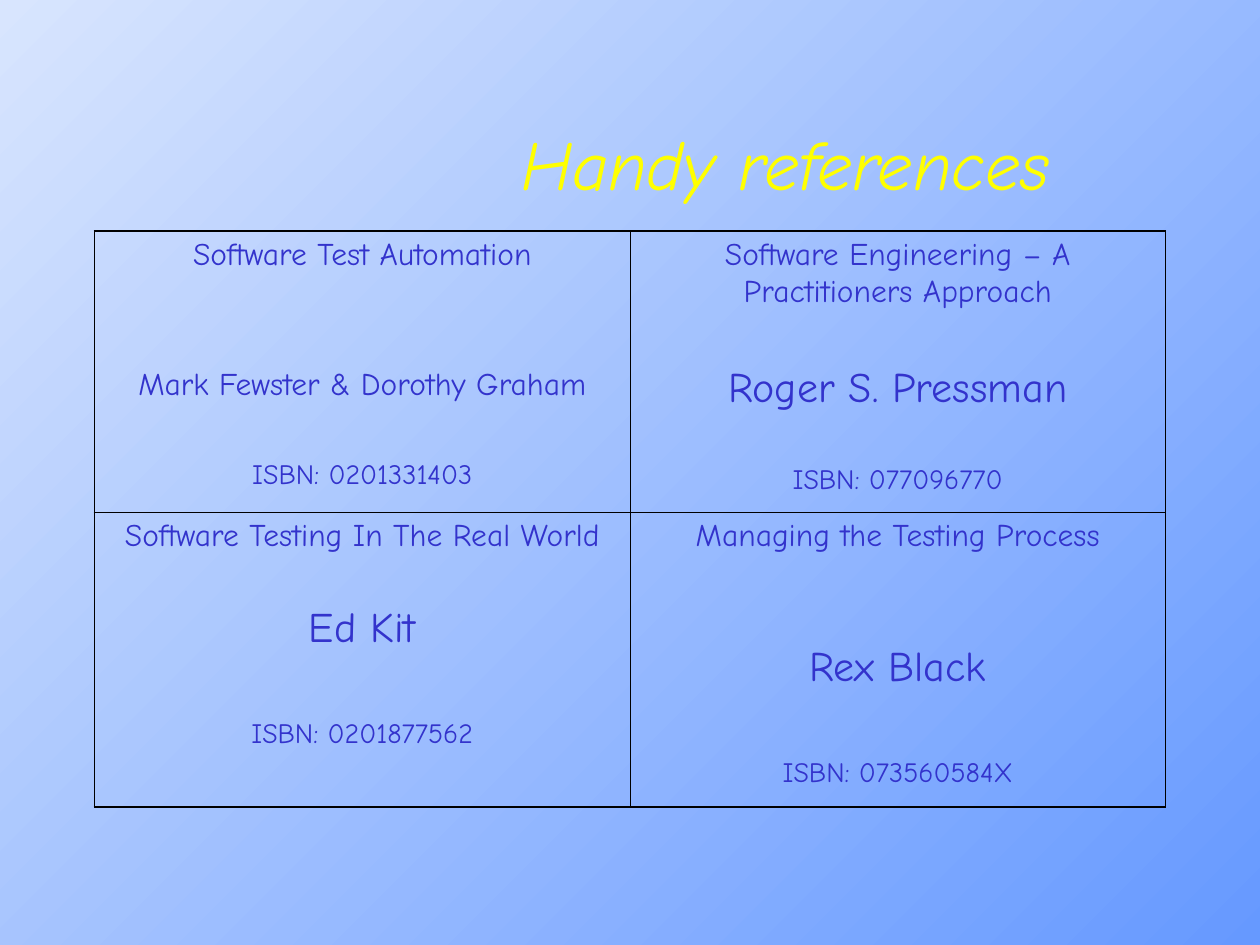
from dataclasses import dataclass

from lxml.etree import SubElement
from pptx import Presentation
from pptx.dml.color import RGBColor
from pptx.enum.text import MSO_ANCHOR, PP_ALIGN
from pptx.oxml.ns import qn
from pptx.util import Pt


@dataclass(frozen=True)
class Theme:
    font: str = "Comic Neue"
    heading: str = "FFFF00"
    body: str = "3333CC"
    border: str = "000000"
    background: tuple = ("6699FF", "D8E5FE")
    heading_size: float = 40
    book_size: float = 18
    author_size: float = 24
    isbn_size: float = 16
    outer_line: float = 1.08
    inner_line: float = 0.45


@dataclass(frozen=True)
class Book:
    title: str
    author: str
    isbn: str
    author_gap: float
    isbn_gap: float
    author_size: float = Theme.author_size


THEME = Theme()
BOOKS = [
    [
        Book("Software Test Automation", "Mark Fewster & Dorothy Graham",
             "ISBN: 0201331403", 53.5, 32, THEME.book_size),
        Book("Software Engineering – A Practitioners Approach",
             "Roger S. Pressman", "ISBN: 077096770", 31.2, 29.2),
    ],
    [
        Book("Software Testing In The Real World", "Ed Kit",
             "ISBN: 0201877562", 28.4, 37.6),
        Book("Managing the Testing Process", "Rex Black",
             "ISBN: 073560584X", 50.8, 37.6),
    ],
]
COLUMN_WIDTH = 306
ROW_HEIGHTS = [160.6, 168.5]


def paint_background(slide):
    fill = slide.background.fill
    fill.gradient()
    fill.gradient_angle = 135
    for stop, color in zip(fill.gradient_stops, THEME.background):
        stop.color.rgb = RGBColor.from_string(color)


def format_paragraph(paragraph, size, color, alignment, italic=False):
    paragraph.alignment = alignment
    for run in paragraph.runs:
        run.font.name = THEME.font
        run.font.size = Pt(size)
        run.font.italic = italic
        run.font.color.rgb = RGBColor.from_string(color)


def add_heading(slide, text):
    shape = slide.shapes.add_textbox(Pt(168), Pt(48), Pt(498), Pt(90))
    frame = shape.text_frame
    frame.word_wrap = True
    frame.vertical_anchor = MSO_ANCHOR.MIDDLE
    frame.margin_right = Pt(66)
    frame.text = text
    format_paragraph(frame.paragraphs[0], THEME.heading_size, THEME.heading,
                     PP_ALIGN.RIGHT, italic=True)


def set_borders(cell, widths):
    properties = cell._tc.get_or_add_tcPr()
    for index, (side, width) in enumerate(widths.items()):
        line = SubElement(properties, qn(f"a:ln{side}"), w=str(Pt(width)))
        fill = SubElement(line, qn("a:solidFill"))
        SubElement(fill, qn("a:srgbClr"), val=THEME.border)
        properties.insert(index, line)


def fill_cell(cell, book):
    cell.fill.background()
    frame = cell.text_frame
    frame.text = "\n".join([book.title, book.author, book.isbn])
    sizes = [THEME.book_size, book.author_size, THEME.isbn_size]
    for paragraph, size in zip(frame.paragraphs, sizes):
        format_paragraph(paragraph, size, THEME.body, PP_ALIGN.CENTER)
    for paragraph, gap in zip(frame.paragraphs[1:], [book.author_gap, book.isbn_gap]):
        paragraph.space_before = Pt(gap)


def add_book_table(slide, books):
    row_count, column_count = len(books), len(books[0])
    shape = slide.shapes.add_table(row_count, column_count, Pt(54), Pt(132),
                                   Pt(COLUMN_WIDTH * column_count), Pt(sum(ROW_HEIGHTS)))
    table = shape.table
    table.first_row = False
    table.horz_banding = False
    for column in table.columns:
        column.width = Pt(COLUMN_WIDTH)
    for row_index, row_books in enumerate(books):
        table.rows[row_index].height = Pt(ROW_HEIGHTS[row_index])
        for column_index, book in enumerate(row_books):
            cell = table.cell(row_index, column_index)
            fill_cell(cell, book)
            outer_sides = {
                "L": column_index == 0,
                "R": column_index == column_count - 1,
                "T": row_index == 0,
                "B": row_index == row_count - 1,
            }
            set_borders(cell, {side: THEME.outer_line if outer else THEME.inner_line
                               for side, outer in outer_sides.items()})


def main():
    presentation = Presentation()
    presentation.slide_width = Pt(720)
    presentation.slide_height = Pt(540)
    slide = presentation.slides.add_slide(presentation.slide_layouts[6])
    paint_background(slide)
    add_heading(slide, "Handy references")
    add_book_table(slide, BOOKS)
    presentation.save("out.pptx")


if __name__ == "__main__":
    main()
